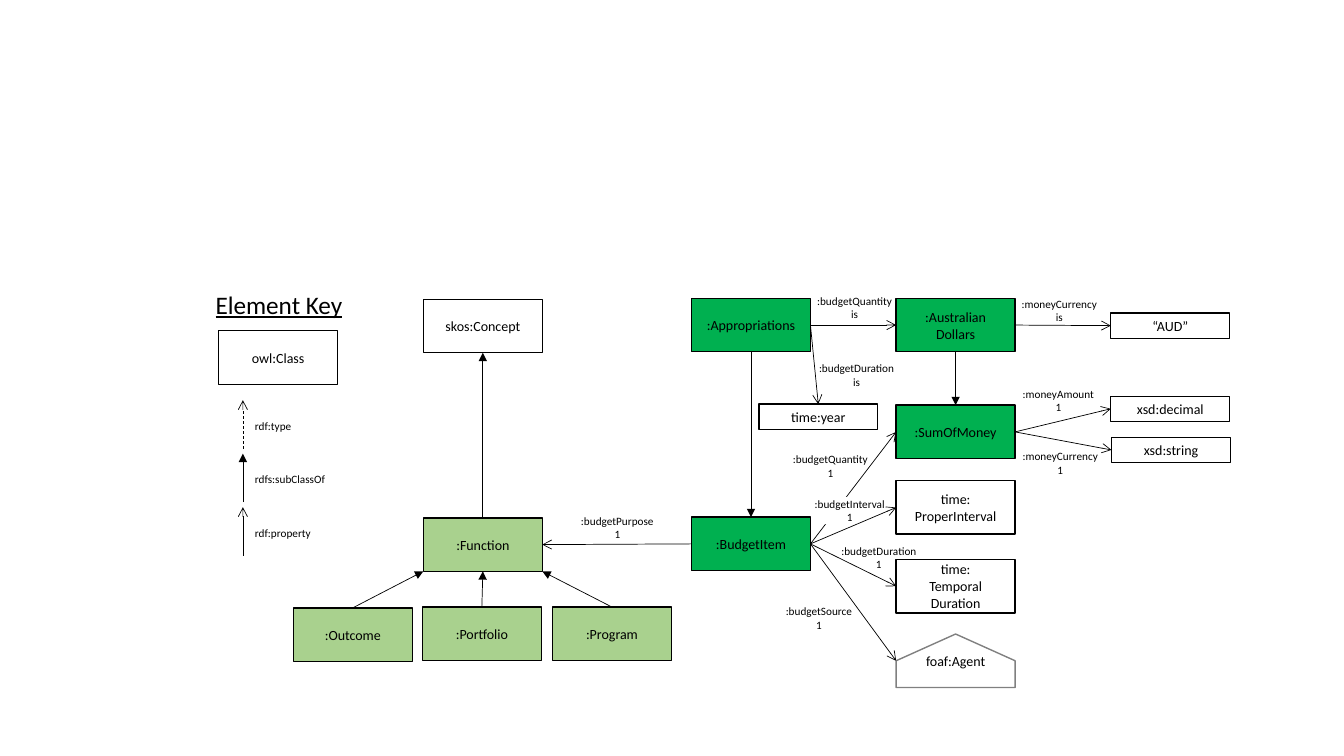
from lxml import etree
from pptx import Presentation
from pptx.dml.color import RGBColor
from pptx.enum import dml, shapes, text
from pptx.oxml.ns import qn
from pptx.util import Pt

BLACK = RGBColor(0x00, 0x00, 0x00)
WHITE = RGBColor(0xFF, 0xFF, 0xFF)
GRAY = RGBColor(0x80, 0x80, 0x80)
GREEN = RGBColor(0x00, 0xB0, 0x50)
LIGHT_GREEN = RGBColor(0xA9, 0xD1, 0x8E)

CLASS_WIDTH, CLASS_HEIGHT, VALUE_HEIGHT = 85, 38.2, 18
LABEL_HEIGHT = 26.6

CLASSES = {
    "budget item": (":BudgetItem", 493.9, 369.4, GREEN),
    "temporal": ("time:\vTemporal\vDuration", 640.1, 399.6, WHITE),
    "sum": (":SumOfMoney", 640.1, 289.4, GREEN),
    "interval": ("time:\vProperInterval", 640.1, 343.4, WHITE),
    "dollars": (":Australian\vDollars", 640.1, 213.1, GREEN),
    "appropriations": (":Appropriations", 493.9, 213.1, GREEN),
    "concept": ("skos:Concept", 302.4, 213.8, WHITE),
    "function": (":Function", 302.4, 369.9, LIGHT_GREEN),
    "outcome": (":Outcome", 209.5, 434.2, LIGHT_GREEN),
    "program": (":Program", 394.6, 433.6, LIGHT_GREEN),
    "portfolio": (":Portfolio", 301.7, 433.6, LIGHT_GREEN),
    "owl class": ("owl:Class", 156.2, 236.3, WHITE),
}
VALUES = {
    "decimal": ("xsd:decimal", 793.4, 283),
    "string": ("xsd:string", 793.9, 312.4),
    "aud": ("“AUD”", 793.4, 223.6),
    "year": ("time:year", 542, 288.7),
}
AGENT = ("foaf:Agent", 640.1, 452.9)

SIDES = {
    "top": (0.5, 0, 0),
    "left": (0, 0.5, 1),
    "bottom": (0.5, 1, 2),
    "right": (1, 0.5, 3),
    "bottom left": (0, 1, None),
    "bottom right": (1, 1, None),
}
SUBCLASSES = [
    ("program", "top", "function", "bottom right"),
    ("outcome", "top", "function", "bottom left"),
    ("portfolio", "top", "function", "bottom"),
    ("dollars", "bottom", "sum", "top"),
    ("appropriations", "bottom", "budget item", "top"),
    ("function", "top", "concept", "bottom"),
]
PROPERTIES = [
    ("budget item", "left", "function", "right"),
    ("budget item", "right", "temporal", "left"),
    ("budget item", "right", "sum", "left"),
    ("budget item", "right", "agent", "left"),
    ("sum", "right", "decimal", "left"),
    ("sum", "right", "string", "left"),
    ("dollars", "right", "aud", "left"),
    ("appropriations", "right", "dollars", "left"),
    ("appropriations", "right", "year", "top"),
]
INTERVAL_PROPERTY = ("budget item", "right", "interval", "left")

LABELS = [
    (":budgetPurpose\n1", 407.5, 363.6, 67),
    (":budgetQuantity\v1", 558.7, 319.7, 69),
    (":budgetDuration\n1", 593.3, 385.2, 69),
    (":budgetSource\n1", 553.7, 428.4, 62.6),
    (":moneyAmount\v1", 722.9, 272.9, 66.2),
    (":moneyCurrency\v1", 722.9, 317.5, 69),
    (":moneyCurrency\vis", 722.2, 208.8, 69),
    (":budgetQuantity\vis", 576, 206.6, 69),
    (":budgetDuration\nis", 577.4, 254.9, 69),
]
INTERVAL_LABEL = (":budgetInterval\n1", 581.8, 355, 50.4, 19.4)

KEY_TITLE = ("Element Key", 146.9, 203, 105.8, 28.8)
KEY_LEFT, KEY_TOP, KEY_STEP, KEY_LENGTH = 173.5, 285.9, 38.2, 34.6
KEY = [
    ("rdf:type", 41, "arrow", True),
    ("rdfs:subClassOf", 65.5, "triangle", False),
    ("rdf:property", 54.7, "arrow", False),
]

deck = Presentation()
deck.slide_width, deck.slide_height = Pt(960), Pt(540)
slide = deck.slides.add_slide(deck.slide_layouts[6])


def write(holder, words, size=10, align=text.PP_ALIGN.CENTER, underline=None,
          wrap=True, inset=None, anchor=text.MSO_ANCHOR.MIDDLE):
    frame = holder.text_frame
    frame.text = words
    frame.word_wrap = wrap
    frame.vertical_anchor = anchor
    if not wrap:
        frame.auto_size = text.MSO_AUTO_SIZE.SHAPE_TO_FIT_TEXT
    if inset is not None:
        frame.margin_left = frame.margin_right = Pt(inset)
        frame.margin_top = frame.margin_bottom = Pt(inset)
    for paragraph in frame.paragraphs:
        paragraph.alignment = align
        font = paragraph.font
        font.name, font.size, font.underline = "Calibri", Pt(size), underline
        font.color.rgb = BLACK
        for run in paragraph.runs:
            run.font.name, run.font.size = "Calibri", Pt(size)
            run.font.underline = underline
            run.font.color.rgb = BLACK


def paint(outline, fill, line):
    outline.shadow.inherit = False
    outline.fill.solid()
    outline.fill.fore_color.rgb = fill
    outline.line.color.rgb = line
    outline.line.width = Pt(1)


def add_box(words, left, top, height, fill):
    box = slide.shapes.add_shape(shapes.MSO_SHAPE.RECTANGLE, Pt(left), Pt(top),
                                 Pt(CLASS_WIDTH), Pt(height))
    paint(box, fill, BLACK)
    write(box, words)
    return box


def add_label(words, left, top, width, height, size=8, **style):
    label = slide.shapes.add_textbox(Pt(left), Pt(top), Pt(width), Pt(height))
    write(label, words, size=size, wrap=False, anchor=text.MSO_ANCHOR.TOP, **style)
    return label


def add_arrow(start, end, head, dashed=False):
    arrow = slide.shapes.add_connector(shapes.MSO_CONNECTOR.STRAIGHT, *start, *end)
    arrow.line.color.rgb = BLACK
    arrow.line.width = Pt(0.5)
    if dashed:
        arrow.line.dash_style = dml.MSO_LINE.DASH
    properties = arrow._element.spPr
    etree.SubElement(properties.find(qn("a:ln")), qn("a:tailEnd"), type=head)
    etree.SubElement(properties, qn("a:effectLst"))
    return arrow


def side_point(node, side):
    across, down, _ = SIDES[side]
    return (round(node.left + across * node.width),
            round(node.top + down * node.height))


def relate(source, source_side, target, target_side, head):
    start, end = nodes[source], nodes[target]
    arrow = add_arrow(side_point(start, source_side), side_point(end, target_side), head)
    arrow.begin_connect(start, SIDES[source_side][2])
    site = SIDES[target_side][2]
    if site is not None and target != "agent":
        arrow.end_connect(end, site)


nodes = {}
for name, (words, left, top, fill) in CLASSES.items():
    nodes[name] = add_box(words, left, top, CLASS_HEIGHT, fill)
for name, (words, left, top) in VALUES.items():
    nodes[name] = add_box(words, left, top, VALUE_HEIGHT, WHITE)

agent_words, agent_left, agent_top = AGENT
house = [(0.5, 0), (1, 0.5), (1, 1), (0, 1), (0, 0.5)]
corners = [(Pt(agent_left + x * CLASS_WIDTH), Pt(agent_top + y * CLASS_HEIGHT))
           for x, y in house]
builder = slide.shapes.build_freeform(*corners[0])
builder.add_line_segments(corners[1:], close=True)
nodes["agent"] = builder.convert_to_shape()
paint(nodes["agent"], WHITE, GRAY)
write(nodes["agent"], agent_words)

for relation in SUBCLASSES:
    relate(*relation, "triangle")
for relation in PROPERTIES:
    relate(*relation, "arrow")

for label in LABELS:
    add_label(*label, LABEL_HEIGHT)
interval_label = add_label(*INTERVAL_LABEL, inset=0)
interval_label.fill.solid()
interval_label.fill.fore_color.rgb = WHITE
relate(*INTERVAL_PROPERTY, "arrow")

add_label(*KEY_TITLE, size=18, align=text.PP_ALIGN.LEFT, underline=True)
for row, (words, width, head, dashed) in enumerate(KEY):
    top = KEY_TOP + row * KEY_STEP
    add_arrow((Pt(KEY_LEFT), Pt(top + KEY_LENGTH)), (Pt(KEY_LEFT), Pt(top)), head, dashed)
    add_label(words, KEY_LEFT + 1.5, top + 10, width, 17, align=text.PP_ALIGN.LEFT)

deck.save("out.pptx")
